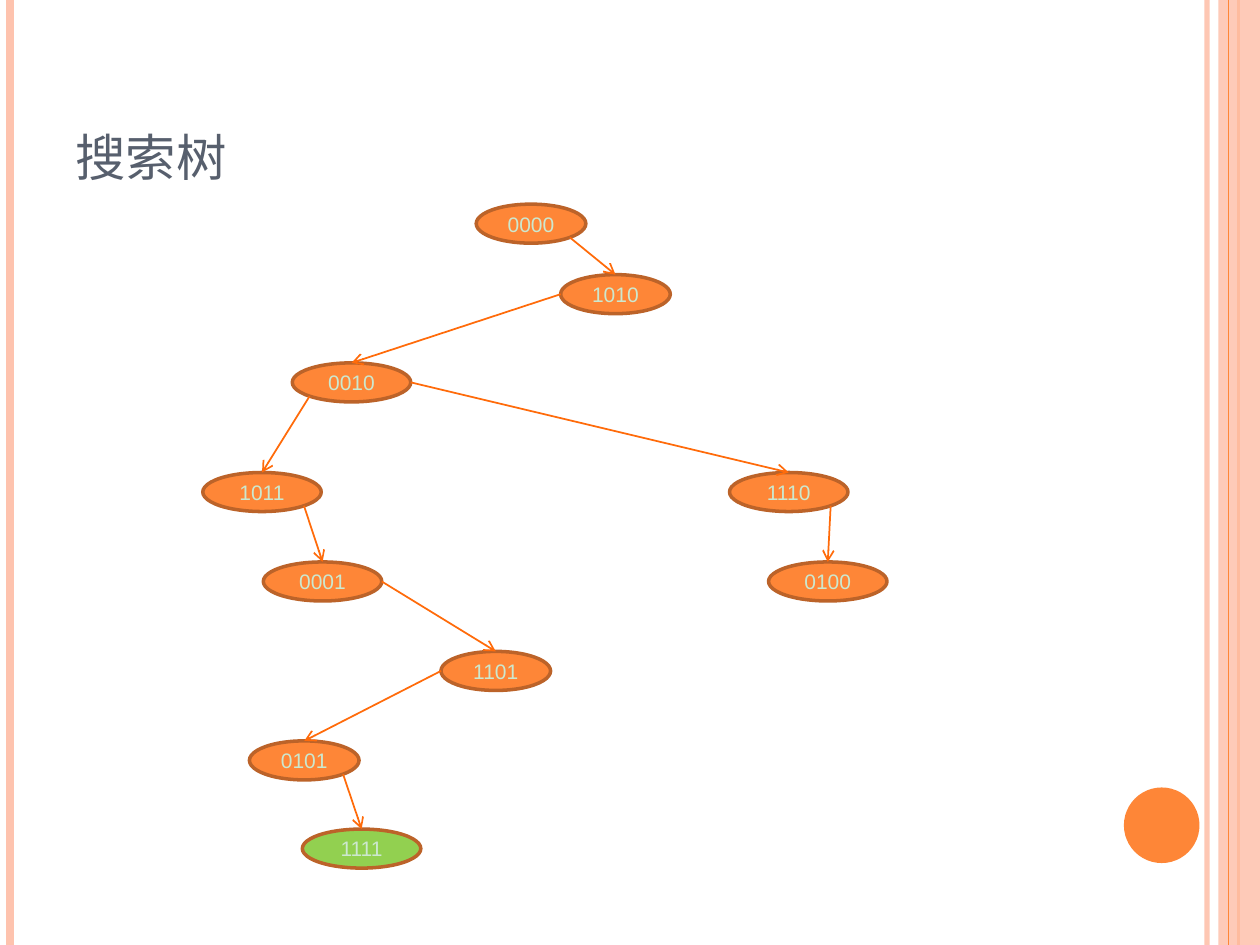
"""Build a slide showing a search tree of four-bit states."""
from lxml.etree import SubElement
from pptx import Presentation
from pptx.dml.color import RGBColor
from pptx.enum.shapes import MSO_CONNECTOR as CONNECTOR, MSO_SHAPE as SHAPE
from pptx.enum.text import MSO_ANCHOR as ANCHOR, PP_ALIGN as ALIGN
from pptx.oxml.ns import qn
from pptx.util import Inches, Pt


def paint(color_format, color, alpha=100):
    color_format.rgb = RGBColor.from_string(color)
    if alpha < 100:
        for tint in color_format._xFill.iter(qn("a:srgbClr")):
            SubElement(tint, qn("a:alpha"), val=str(alpha * 1000))


def add_line(page, start, end, color, width, alpha=100):
    line = page.shapes.add_connector(
        CONNECTOR.STRAIGHT, *[Inches(value) for value in (*start, *end)])
    line.line.width = Pt(width)
    line.line.fill.solid()
    paint(line.line.fill.fore_color, color, alpha)
    SubElement(line._element.spPr, qn("a:effectLst"))
    return line


ORANGE, PEACH, GREEN = "FE8637", "FEC3AE", "92D050"
NODE_HEIGHT = 0.31
DIAGONAL = 0.354

deck = Presentation()
deck.slide_width, deck.slide_height = Inches(10), Inches(7.5)
page = deck.slides.add_slide(deck.slide_layouts[6])
page.background.fill.solid()
paint(page.background.fill.fore_color, "FFFFFF")

for x, color, width, alpha in [
    (9.58, PEACH, 3, 93), (0.08, PEACH, 4.5, 100), (9.83, ORANGE, 1.5, 100),
]:
    add_line(page, (x, 0), (x, 7.5), color, width, alpha)

band = page.shapes.add_shape(
    SHAPE.RECTANGLE, Inches(9.67), Inches(0), Inches(0.33), Inches(7.5))
add_line(page, (9.75, 0), (9.75, 7.5), ORANGE, 0.75)
dot = page.shapes.add_shape(
    SHAPE.OVAL, Inches(8.92), Inches(6.25), Inches(0.6), Inches(0.6))
for shape, color, alpha in [(band, PEACH, 87), (dot, ORANGE, 100)]:
    shape.shadow.inherit = False
    shape.line.fill.background()
    shape.fill.solid()
    paint(shape.fill.fore_color, color, alpha)

title = page.shapes.add_textbox(
    Inches(0.5), Inches(0.3), Inches(8.17), Inches(1.25))
frame = title.text_frame
frame.word_wrap = True
frame.vertical_anchor = ANCHOR.BOTTOM
frame.text = "搜索树"
span = frame.paragraphs[0].runs[0]
span.font.size = Pt(36)
span.font.name = "Arial"
span._r.get_or_add_rPr().set("cap", "small")
paint(span.font.color, "575F6D")

states = {
    "0000": (3.78, 1.62, 0.87),
    "1010": (4.45, 2.18, 0.87),
    "0010": (2.32, 2.88, 0.94),
    "1011": (1.61, 3.75, 0.94),
    "1110": (5.79, 3.75, 0.94),
    "0001": (2.09, 4.46, 0.94),
    "0100": (6.10, 4.46, 0.94),
    "1101": (3.50, 5.17, 0.87),
    "0101": (1.98, 5.88, 0.87),
    "1111": (2.40, 6.58, 0.94),
}
nodes = {}
for state, (left, top, width) in states.items():
    node = page.shapes.add_shape(
        SHAPE.FLOWCHART_CONNECTOR,
        Inches(left), Inches(top), Inches(width), Inches(NODE_HEIGHT))
    node.shadow.inherit = False
    node.fill.solid()
    paint(node.fill.fore_color, GREEN if state == "1111" else ORANGE)
    node.line.width = Pt(2)
    paint(node.line.color, "BC6329")
    frame = node.text_frame
    frame.margin_left = frame.margin_right = Inches(0)
    frame.vertical_anchor = ANCHOR.MIDDLE
    frame.text = state
    para = frame.paragraphs[0]
    para.alignment = ALIGN.CENTER
    font = para.runs[0].font
    font.size = Pt(12)
    font.name = "Arial"
    paint(font.color, "CCE8CF")
    nodes[state] = node

exits = {
    "left": (-0.5, 0),
    "right": (0.5, 0),
    "lower left": (-DIAGONAL, DIAGONAL),
    "lower right": (DIAGONAL, DIAGONAL),
}
for parent, child, side in [
    ("0000", "1010", "lower right"),
    ("1010", "0010", "left"),
    ("0010", "1011", "lower left"),
    ("0010", "1110", "right"),
    ("1011", "0001", "lower right"),
    ("1110", "0100", "lower right"),
    ("0001", "1101", "right"),
    ("1101", "0101", "left"),
    ("0101", "1111", "lower right"),
]:
    left, top, width = states[parent]
    across, down = exits[side]
    start = (left + width * (0.5 + across), top + NODE_HEIGHT * (0.5 + down))
    child_left, child_top, child_width = states[child]
    end = (child_left + child_width / 2, child_top)
    arrow = add_line(page, start, end, "FF6B0A", 1)
    arrow.end_connect(nodes[child], 0)
    SubElement(arrow.line._get_or_add_ln(), qn("a:tailEnd"), type="arrow")

deck.save("out.pptx")
